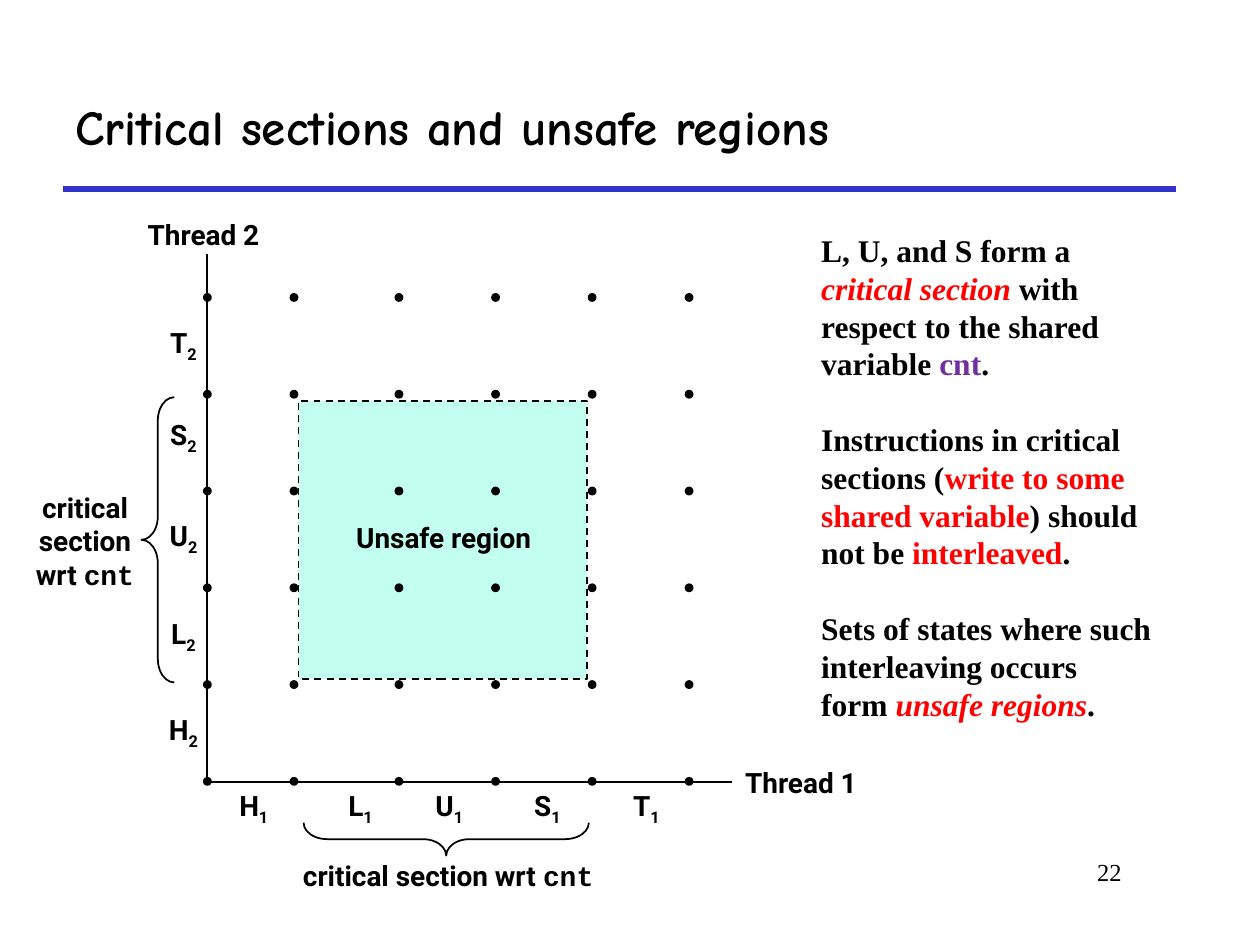
from itertools import product
from pptx import Presentation
from pptx.dml.color import RGBColor
from pptx.enum.dml import MSO_LINE
from pptx.enum.shapes import MSO_CONNECTOR, MSO_SHAPE
from pptx.enum.text import MSO_ANCHOR, PP_ALIGN
from pptx.oxml.ns import qn
from pptx.util import Pt
from lxml.etree import SubElement

BLACK, RED, PURPLE, BLUE, MINT = "000000", "FF0000", "7030A0", "3333CC", "C2FFF0"
SANS, SERIF, MONO, COMIC = "Roboto", "Times New Roman", "Courier New", "Comic Neue"
COLS = [118.5, 168, 228, 283.2, 338.4, 393.8]
ROWS = [170 + 55.3 * i for i in range(6)]
XTAGS = {"H": 145, "L": 206, "U": 256.7, "S": 312.8, "T": 369.4}
YTAGS = {"H": 418, "L": 363.2, "U": 307, "S": 249.5, "T": 197}
NOTES = [
    [
        [("L, U, and S form a",)],
        [("critical section ", RED, True), ("with",)],
        [("respect to the shared",)],
        [("variable ",), ("cnt", PURPLE), (".",)],
    ],
    [
        [("Instructions in critical",)],
        [("sections (",), ("write to some", RED)],
        [("shared variable", RED), (") should",)],
        [("not be ",), ("interleaved", RED), (".",)],
    ],
    [
        [("Sets of states where such",)],
        [("interleaving occurs",)],
        [("form ",), ("unsafe regions", RED, True), (".",)],
    ],
]


def color(hex):
    """Turn a hex string into a colour."""
    return RGBColor.from_string(hex)


def style(para, size, face, bold=True, align=PP_ALIGN.LEFT):
    """Set the font and alignment of a paragraph."""
    para.alignment = align
    font = para.font
    font.size, font.name, font.bold = Pt(size), face, bold
    font.color.rgb = color(BLACK)


def add_run(para, text, hue=None, slant=None, face=None, base=None):
    """Append a run with only its own differences."""
    run = para.add_run()
    run.text = text
    if hue:
        run.font.color.rgb = color(hue)
    if slant:
        run.font.italic = True
    if face:
        run.font.name = face
    if base:
        run._r.get_or_add_rPr().set("baseline", str(base * 1000))


def add_box(slide, box, anchor=MSO_ANCHOR.MIDDLE, wrap=False):
    """Add an empty text box and return its frame."""
    frame = slide.shapes.add_textbox(*map(Pt, box)).text_frame
    frame.word_wrap, frame.vertical_anchor = wrap, anchor
    return frame


def add_label(slide, box, *runs, wrap=False):
    """Add a centred diagram label."""
    para = add_box(slide, box, wrap=wrap).paragraphs[0]
    style(para, 16, SANS, align=PP_ALIGN.CENTER)
    for run in runs:
        add_run(para, *run)


def add_line(slide, ends, hue=BLACK, width=1):
    """Draw a straight line between two points."""
    line = slide.shapes.add_connector(MSO_CONNECTOR.STRAIGHT, *map(Pt, ends))
    line.line.color.rgb, line.line.width = color(hue), Pt(width)
    SubElement(line._element.find(qn("p:spPr")), qn("a:effectLst"))


def add_form(slide, kind, box, fill=None, width=1):
    """Draw a preset shape with a black outline."""
    form = slide.shapes.add_shape(kind, *map(Pt, box))
    form.shadow.inherit = False
    if fill:
        form.fill.solid()
        form.fill.fore_color.rgb = color(fill)
    else:
        form.fill.background()
    form.line.color.rgb, form.line.width = color(BLACK), Pt(width)
    return form


def add_brace(slide, box, turn=0):
    """Draw a curly brace, turned if asked."""
    brace = add_form(slide, MSO_SHAPE.LEFT_BRACE, box)
    brace.adjustments[0] = 0.715
    brace.rotation = turn


def add_notes(slide):
    """Write the explanation, with a line of space between groups."""
    frame = add_box(slide, (462.2, 132, 235.4, 288), MSO_ANCHOR.TOP)
    frame.margin_top = frame.margin_bottom = 0
    para = frame.paragraphs[0]
    for part, group in enumerate(NOTES):
        for row, runs in enumerate(group):
            if part or row:
                para = frame.add_paragraph()
            if part and not row:
                para.space_before = Pt(21.6)
            para.line_spacing = Pt(21.6)
            style(para, 18, SERIF)
            for run in runs:
                add_run(para, *run)


def add_graph(slide):
    """Draw the progress graph with its unsafe region."""
    region = add_form(slide, MSO_SHAPE.RECTANGLE, (170.6, 229, 165, 159), MINT)
    region.line.dash_style = MSO_LINE.DASH
    add_line(slide, (118.5, 447, 418.5, 447))
    add_line(slide, (118.5, 447, 118.5, 145))
    for name, x in XTAGS.items():
        add_label(slide, (x - 16, 448, 32, 26.6), (name,), ("1", None, None, None, -25))
    for name, y in YTAGS.items():
        add_label(slide, (88.8, y - 13.3, 32, 26.6), (name,), ("2", None, None, None, -25))
    for x, y in product(COLS, ROWS):
        add_form(slide, MSO_SHAPE.OVAL, (x - 1.5, y - 1.5, 3, 3), BLACK, 2)
    add_label(slide, (417, 434, 81.4, 26.6), ("Thread 1",))
    add_label(slide, (75.6, 120.4, 81.4, 26.6), ("Thread 2",))
    add_label(slide, (193, 294, 121, 26.6), ("Unsafe region",))
    add_brace(slide, (80.8, 227, 18.8, 163))
    add_brace(slide, (245.6, 398, 18.8, 163), 270)
    section = ("critical section wrt ",), ("cnt", None, None, MONO)
    add_label(slide, (161.4, 487, 189.4, 26.6), *section)
    add_label(slide, (11.5, 276.5, 74.2, 65), *section, wrap=True)


def main():
    """Build and save the slide."""
    deck = Presentation()
    deck.slide_width, deck.slide_height = Pt(720), Pt(540)
    slide = deck.slides.add_slide(deck.slide_layouts[6])
    add_line(slide, (36, 108, 672, 108), BLUE, 3)
    title = add_box(slide, (36, 36, 636, 72), wrap=True).paragraphs[0]
    style(title, 28, COMIC)
    add_run(title, "Critical sections and unsafe regions")
    add_notes(slide)
    add_graph(slide)
    page = add_box(slide, (546, 486, 102, 36), MSO_ANCHOR.TOP, True).paragraphs[0]
    style(page, 14, SERIF, False, PP_ALIGN.RIGHT)
    add_run(page, "22")
    deck.save("out.pptx")


if __name__ == "__main__":
    main()
